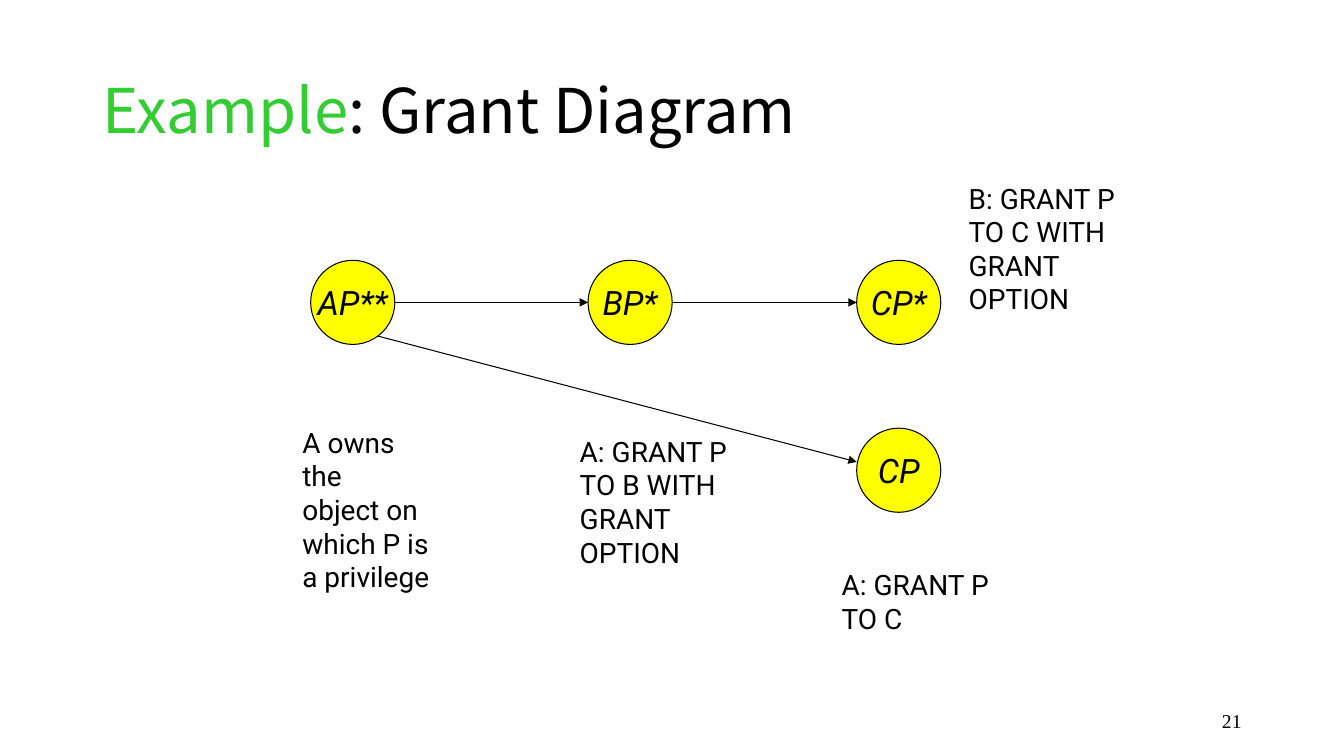
from lxml import etree
from pptx import Presentation
from pptx.dml.color import RGBColor
from pptx.enum.shapes import MSO_CONNECTOR as Connector, MSO_SHAPE as Shape
from pptx.enum.text import MSO_ANCHOR as Anchor, PP_ALIGN as Align
from pptx.oxml.ns import qn
from pptx.util import Cm, Pt

# Content; lengths in centimetres
TITLE = [("Example", "33CC33"), (": Grant Diagram", "000000")]
PAGE_NUMBER = "21"
DIAMETER = 2.12
RADIUS = DIAMETER / 2
NODES = {  # label: centre
    "AP**": (8.89, 7.62),
    "BP*": (15.88, 7.62),
    "CP*": (22.65, 7.62),
    "CP": (22.65, 11.85),
}
ARROWS = [  # from, offset from its centre, to, offset from its centre
    ("AP**", (RADIUS, 0), "BP*", (-RADIUS, 0)),
    ("BP*", (RADIUS, 0), "CP*", (-RADIUS, 0)),
    ("AP**", (0.64, 0.85), "CP", (-RADIUS, -0.21)),
]
NOTES = [  # left, top, width, height, lines
    (7.37, 10.59, 3.8, 4.7,
     ["A owns the", "object on", "which P is", "a privilege"]),
    (14.36, 10.82, 4.7, 3.8, ["A: GRANT P", "TO B WITH", "GRANT OPTION"]),
    (24.16, 4.44, 4.7, 3.8, ["B: GRANT P", "TO C WITH", "GRANT OPTION"]),
    (20.96, 14.18, 4.7, 1.96, ["A: GRANT P", "TO C"]),
]


def color(value):
    return RGBColor.from_string(value)


def set_font(font, name, size, value="000000"):
    font.name, font.size = name, Pt(size)
    font.color.rgb = color(value)


def style_line(line):
    line.color.rgb = color("000000")
    line.width = Pt(0.75)


def add_text(left, top, width, height, lines, name, size):
    box = page.shapes.add_textbox(Cm(left), Cm(top), Cm(width), Cm(height))
    frame = box.text_frame
    frame.word_wrap = True
    frame.text = "\n".join(lines)
    for para in frame.paragraphs:
        set_font(para.font, name, size)
    return frame


def add_node(label, center):
    left, top = (Cm(value - RADIUS) for value in center)
    node = page.shapes.add_shape(Shape.OVAL, left, top, Cm(DIAMETER), Cm(DIAMETER))
    node.shadow.inherit = False
    node.fill.solid()
    node.fill.fore_color.rgb = color("FFFF00")
    style_line(node.line)
    frame = node.text_frame
    frame.word_wrap = False
    frame.vertical_anchor = Anchor.MIDDLE
    frame.text = label
    para = frame.paragraphs[0]
    para.alignment = Align.CENTER
    set_font(para.font, "Roboto", 24)
    para.font.italic = True


def add_arrow(source, source_offset, target, target_offset):
    start = [Cm(a + b) for a, b in zip(NODES[source], source_offset)]
    end = [Cm(a + b) for a, b in zip(NODES[target], target_offset)]
    arrow = page.shapes.add_connector(Connector.STRAIGHT, *start, *end)
    style_line(arrow.line)
    properties = arrow.element.spPr
    outline = properties.find(qn("a:ln"))
    etree.SubElement(outline, qn("a:tailEnd"), type="triangle")
    etree.SubElement(properties, qn("a:effectLst"))


deck = Presentation()
deck.slide_width, deck.slide_height = Cm(33.87), Cm(19.05)
page = deck.slides.add_slide(deck.slide_layouts[5])

# Title
title = page.shapes.title
title.left, title.top, title.width, title.height = Cm(2.33), Cm(1.01), Cm(29.21), Cm(3.68)
title.text_frame.vertical_anchor = Anchor.MIDDLE
heading = title.text_frame.paragraphs[0]
heading.alignment = Align.LEFT
heading.line_spacing = 0.9
for text, value in TITLE:
    span = heading.add_run()
    span.text = text
    set_font(span.font, "Noto Sans CJK SC", 44, value)

# Grant diagram
for label, center in NODES.items():
    add_node(label, center)
for arrow in ARROWS:
    add_arrow(*arrow)
for note in NOTES:
    add_text(*note, "Roboto", 20)

# Page number
number = add_text(23.92, 17.65, 7.62, 1.02, [PAGE_NUMBER], "Times New Roman", 14)
number.vertical_anchor = Anchor.MIDDLE
number.paragraphs[0].alignment = Align.RIGHT

deck.save("out.pptx")
